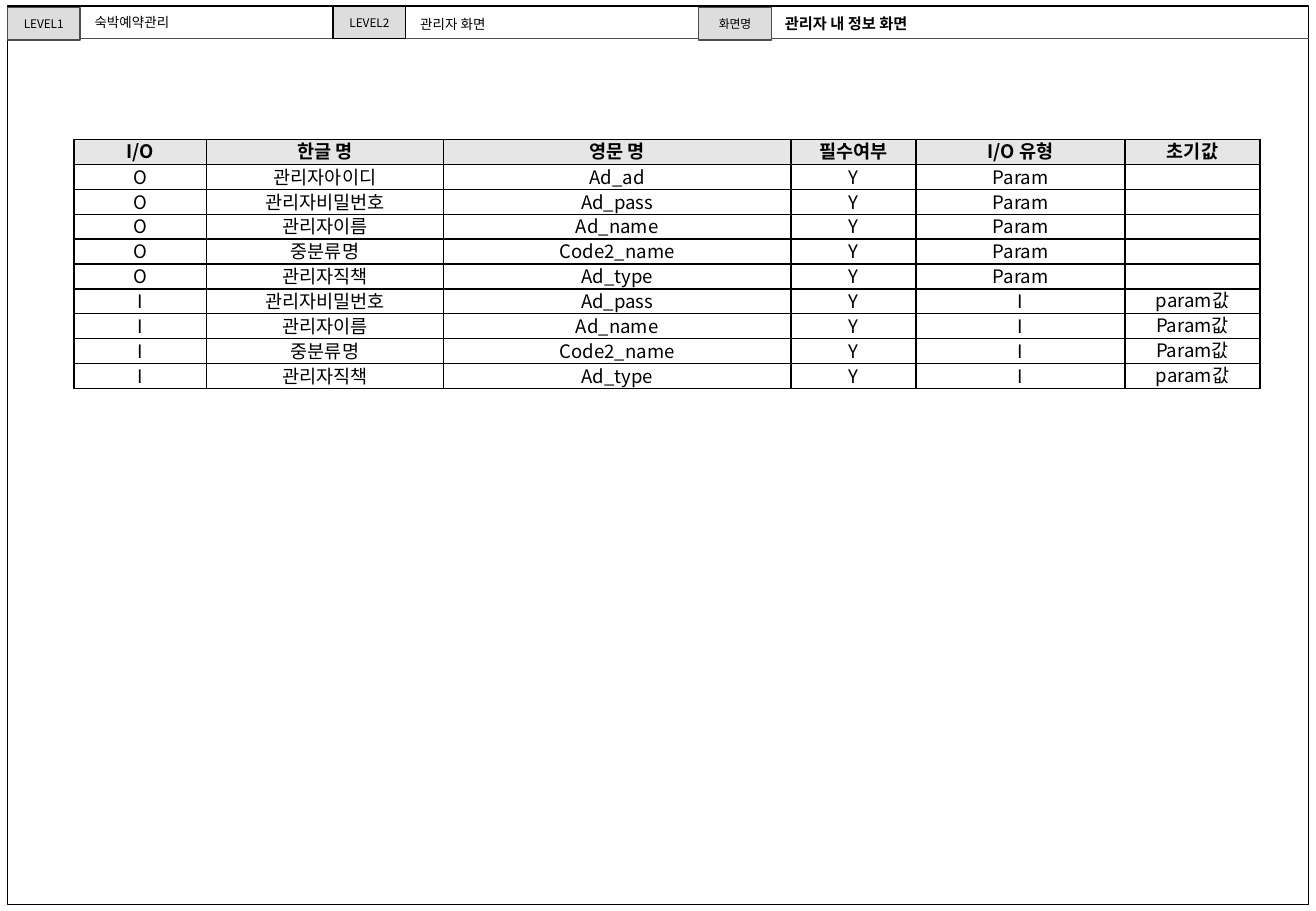
from dataclasses import dataclass

from lxml import etree
from pptx import Presentation
from pptx import util as u
from pptx.dml.color import RGBColor
from pptx.enum import shapes, text
from pptx.oxml.ns import qn

SCALE = 4572  # EMU per px, 200 px to the inch


@dataclass(frozen=True)
class Theme:
    font: str = "Noto Sans CJK KR"
    value_font: str = "Arial"
    black: str = "000000"
    grey: str = "4D4D4D"
    label_fill: str = "DDDDDD"
    header_fill: str = "E6E6E6"
    label_size: int = 7
    value_size: int = 8
    title_size: int = 9
    table_size: int = 11
    table_leading: int = 14
    line: float = 0.75
    border: float = 1


THEME = Theme()

# Header bar: label, left, top, line colour
LABELS = [
    ("LEVEL1", 12, 12, THEME.grey),
    ("화면명", 1150, 12, THEME.grey),
    ("LEVEL2", 548, 10, THEME.black),
]
VALUES = [("숙박예약관리", 136, 14), ("관리자 화면", 672, 16)]

# Field table
COLUMNS = [218, 390, 572, 206, 344, 222]
ROW_HEIGHT = 41
HEADINGS = ["I/O", "한글 명", "영문 명", "필수여부", "I/O 유형", "초기값"]
FIELDS = [
    ("O", "관리자아이디", "Ad_ad", "Y", "Param", ""),
    ("O", "관리자비밀번호", "Ad_pass", "Y", "Param", ""),
    ("O", "관리자이름", "Ad_name", "Y", "Param", ""),
    ("O", "중분류명", "Code2_name", "Y", "Param", ""),
    ("O", "관리자직책", "Ad_type", "Y", "Param", ""),
    ("I", "관리자비밀번호", "Ad_pass", "Y", "I", "param값"),
    ("I", "관리자이름", "Ad_name", "Y", "I", "Param값"),
    ("I", "중분류명", "Code2_name", "Y", "I", "Param값"),
    ("I", "관리자직책", "Ad_type", "Y", "I", "param값"),
]


def px(*lengths):
    return [u.Emu(length * SCALE) for length in lengths]


def rgb(colour):
    return RGBColor.from_string(colour)


def write(frame, wording, size, font=THEME.font, bold=False, align=text.PP_ALIGN.LEFT):
    """Fill a text frame with one formatted paragraph."""
    paragraph = frame.paragraphs[0]
    paragraph.text = wording
    paragraph.alignment = align
    paragraph.font.name = font
    paragraph.font.size = u.Pt(size)
    paragraph.font.bold = bold
    paragraph.font.color.rgb = rgb(THEME.black)
    # Hangul takes the East Asian typeface
    defaults = paragraph._p.pPr.find(qn("a:defRPr"))
    east_asian = etree.Element(qn("a:ea"), typeface=THEME.font)
    defaults.find(qn("a:latin")).addnext(east_asian)
    return paragraph


def add_box(slide, left, top, width, height, line, fill=None):
    shape = slide.shapes.add_shape(
        shapes.MSO_SHAPE.RECTANGLE, *px(left, top, width, height))
    shape.shadow.inherit = False
    shape.line.color.rgb = rgb(line)
    shape.line.width = u.Pt(THEME.line)
    if fill:
        shape.fill.solid()
        shape.fill.fore_color.rgb = rgb(fill)
    else:
        shape.fill.background()
    return shape


def add_label(slide, wording, left, top, line):
    shape = add_box(slide, left, top, 120, 54, line, THEME.label_fill)
    shape.text_frame.vertical_anchor = text.MSO_ANCHOR.MIDDLE
    write(shape.text_frame, wording, THEME.label_size, align=text.PP_ALIGN.CENTER)


def add_rule(slide, left, right, top):
    rule = slide.shapes.add_connector(
        shapes.MSO_CONNECTOR.STRAIGHT, *px(left, top, right, top))
    rule.line.color.rgb = rgb(THEME.grey)
    rule.line.width = u.Pt(THEME.line)
    etree.SubElement(rule._element.spPr, qn("a:effectLst"))


def fit_frame(frame):
    frame.word_wrap = True
    frame.auto_size = text.MSO_AUTO_SIZE.SHAPE_TO_FIT_TEXT
    frame.vertical_anchor = text.MSO_ANCHOR.TOP


def add_value(slide, wording, left, top):
    box = slide.shapes.add_textbox(*px(left, top, 398, 48))
    fit_frame(box.text_frame)
    write(box.text_frame, wording, THEME.value_size, THEME.value_font)


def set_title(slide, wording):
    title = slide.shapes.title
    title.left, title.top, title.width, title.height = px(1272, 14, 364, 50)
    fit_frame(title.text_frame)
    write(title.text_frame, wording, THEME.title_size, bold=True)


def add_borders(cell):
    properties = cell._tc.get_or_add_tcPr()
    for side in ("lnL", "lnR", "lnT", "lnB"):
        line = etree.SubElement(
            properties, qn(f"a:{side}"), w=str(u.Pt(THEME.border)))
        fill = etree.SubElement(line, qn("a:solidFill"))
        etree.SubElement(fill, qn("a:srgbClr"), val=THEME.black)


def format_cell(cell, wording, heading, wide_margin):
    side, top = (14, 0) if wide_margin else (2, 2)
    cell.margin_left, cell.margin_right = px(side, side)
    cell.margin_top, cell.margin_bottom = px(top, 0)
    cell.vertical_anchor = text.MSO_ANCHOR.MIDDLE
    paragraph = write(cell.text_frame, wording, THEME.table_size,
                      bold=heading, align=text.PP_ALIGN.CENTER)
    paragraph.line_spacing = u.Pt(THEME.table_leading)
    add_borders(cell)
    if heading:
        cell.fill.solid()
        cell.fill.fore_color.rgb = rgb(THEME.header_fill)
    else:
        cell.fill.background()


def add_field_table(slide, left, top):
    rows = [HEADINGS, *FIELDS]
    table = slide.shapes.add_table(
        len(rows), len(COLUMNS),
        *px(left, top, sum(COLUMNS), ROW_HEIGHT * len(rows))).table
    table.first_row = table.horz_banding = False
    for column, width in zip(table.columns, px(*COLUMNS)):
        column.width = width
    for i, values in enumerate(rows):
        table.rows[i].height = px(ROW_HEIGHT)[0]
        for j, value in enumerate(values):
            heading = i == 0
            last_column = j == len(COLUMNS) - 1
            format_cell(table.cell(i, j), value, heading, heading or last_column)


def main():
    presentation = Presentation()
    presentation.slide_width, presentation.slide_height = px(2166, 1500)
    slide = presentation.slides.add_slide(presentation.slide_layouts[5])

    # Page frame and header bar
    add_box(slide, 12, 10, 2142, 1480, THEME.black)
    add_rule(slide, 14, 2154, 64)
    for label in LABELS:
        add_label(slide, *label)
    for value in VALUES:
        add_value(slide, *value)
    set_title(slide, "관리자 내 정보 화면")

    # Input and output fields
    add_field_table(slide, 122, 230)

    presentation.save("out.pptx")


if __name__ == "__main__":
    main()
